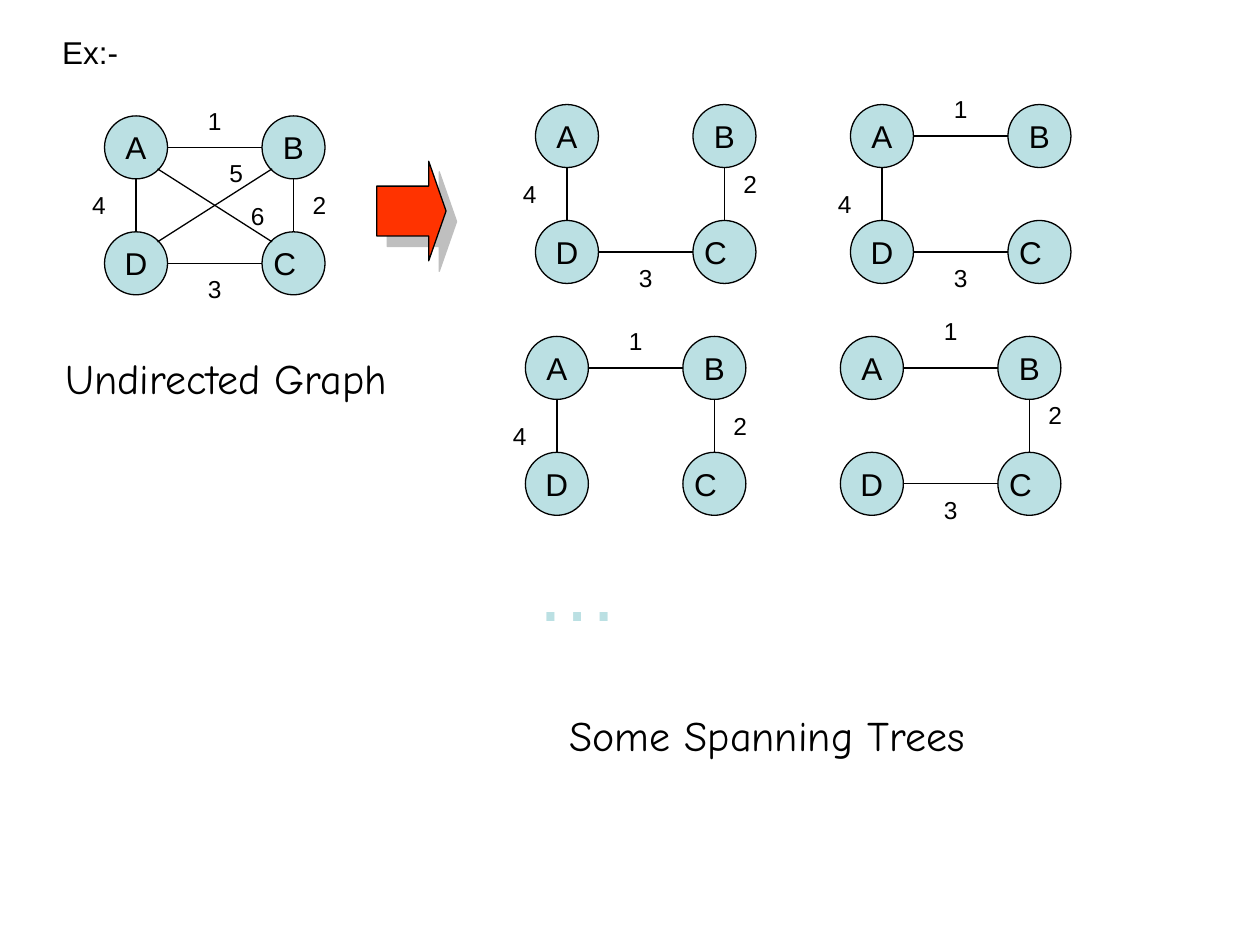
import pptx
import pptx.util
import pptx.dml.color
import pptx.enum.shapes
import pptx.enum.text
import pptx.oxml
import pptx.oxml.ns

Inches = pptx.util.Inches
Kind = pptx.enum.shapes.MSO_SHAPE
Align = pptx.enum.text.PP_ALIGN

NODES = {"A": (0, 0), "B": (1.25, 0), "D": (0, 0.92), "C": (1.25, 0.92)}
SIZE = 0.5
TAG = 0.25
EDGES = {
    1: ("AB", 0.75, -0.09, TAG),
    2: ("BC", 1.58, 0.58, TAG),
    3: ("DC", 0.75, 1.25, TAG),
    4: ("AD", -0.17, 0.58, TAG),
    5: ("DB", 0.92, 0.41, 0.08),
    6: ("AC", 1.09, 0.75, 0.08),
}
GRAPHS = [
    ((0.83, 0.92), (1, 2, 3, 4, 5, 6), {}),
    ((4.25, 0.83), (2, 3, 4), {2: -0.08}),
    ((6.75, 0.83), (1, 3, 4), {4: 0.08}),
    ((4.17, 2.67), (1, 2, 4), {4: 0.08}),
    ((6.67, 2.67), (1, 2, 3), {1: -0.08, 2: -0.08}),
]


def color(code):
    """Return the colour for a hex string."""
    return pptx.dml.color.RGBColor.from_string(code)


def format(item, values):
    """Set each attribute in values on item."""
    for name, value in values.items():
        setattr(item, name, value)


def write(shape, text, size, font="Arial", ink="000000", align=Align.CENTER, **frame):
    """Put one styled line of text in a shape."""
    format(shape.text_frame, {"word_wrap": False, **frame})
    para = shape.text_frame.paragraphs[0]
    para.alignment = align
    run = para.add_run()
    run.text = text
    format(run.font, {"name": font, "size": pptx.util.Pt(size)})
    run.font.color.rgb = color(ink)


def draw(slide, kind, box, fill, line):
    """Add a filled shape with a thin outline."""
    shape = slide.shapes.add_shape(kind, *map(Inches, box))
    shape.shadow.inherit = False
    shape.fill.solid()
    shape.fill.fore_color.rgb = color(fill)
    shape.line.color.rgb = color(line)
    shape.line.width = pptx.util.Pt(0.75)
    return shape


def label(slide, box, text, size, ink="000000"):
    """Add centred text on a white patch."""
    patch = draw(slide, Kind.RECTANGLE, box, "FFFFFF", "FFFFFF")
    write(patch, text, size, ink=ink, vertical_anchor=pptx.enum.text.MSO_ANCHOR.MIDDLE)


def caption(slide, box, text):
    """Add a left-aligned caption."""
    shape = slide.shapes.add_textbox(*map(Inches, box))
    write(shape, text, 24, font="Comic Neue", align=Align.LEFT, word_wrap=True)


def node(slide, left, top, name):
    """Add one round vertex."""
    disc = draw(slide, Kind.OVAL, (left, top, SIZE, SIZE), "BBE0E3", "000000")
    inset = {"margin_left": 0, "margin_right": Inches(0.14)} if name == "C" else {}
    write(disc, name, 18, vertical_anchor=pptx.enum.text.MSO_ANCHOR.MIDDLE, **inset)


def edge(slide, left, top, ends):
    """Join the rims of two vertices with a line."""
    (ax, ay), (bx, by) = (NODES[name] for name in ends)
    dx, dy = (bx > ax) - (bx < ax), (by > ay) - (by < ay)
    reach = 0.17 if dx and dy else SIZE / 2
    x, y = left + SIZE / 2, top + SIZE / 2
    points = (x + ax + dx * reach, y + ay + dy * reach,
              x + bx - dx * reach, y + by - dy * reach)
    line = slide.shapes.add_connector(
        pptx.enum.shapes.MSO_CONNECTOR.STRAIGHT, *map(Inches, points))
    line.line.color.rgb = color("000000")
    line.line.width = pptx.util.Pt(0.75)
    line._element.spPr.append(pptx.oxml.parse_xml(
        f"<a:effectLst {pptx.oxml.ns.nsdecls('a')}/>"))


def graph(slide, spot, weights, shifts):
    """Draw a graph from its top left corner, with the edges of the given weights."""
    left, top = spot
    for name, (x, y) in NODES.items():
        node(slide, left + x, top + y, name)
    for weight in weights:
        edge(slide, left, top, EDGES[weight][0])
    for weight in weights:
        x, y, high = EDGES[weight][1:]
        y += shifts.get(weight, 0)
        label(slide, (left + x, top + y, TAG, high), str(weight), 14)


def arrow(slide, box):
    """Add the red block arrow with its grey shadow."""
    shape = draw(slide, Kind.RIGHT_ARROW, box, "FF3300", "000000")
    shape.adjustments[0], shape.adjustments[1] = 0.5, 0.25
    effects = shape._element.spPr.find(pptx.oxml.ns.qn("a:effectLst"))
    effects.append(pptx.oxml.parse_xml(
        f'<a:outerShdw {pptx.oxml.ns.nsdecls("a")} dist="{pptx.util.Pt(8.5)}" '
        'dir="2700000" algn="ctr" rotWithShape="0">'
        '<a:srgbClr val="808080"><a:alpha val="50000"/></a:srgbClr></a:outerShdw>'))


def main():
    """Build and save the slide."""
    deck = pptx.Presentation()
    format(deck, {"slide_width": Inches(10), "slide_height": Inches(7.5)})
    slide = deck.slides.add_slide(deck.slide_layouts[6])
    caption(slide, (0.42, 2.75, 3.15, 0.5), "Undirected Graph")
    caption(slide, (4.42, 5.58, 3.88, 0.5), "Some Spanning Trees")
    arrow(slide, (2.99, 1.28, 0.55, 0.79))
    label(slide, (0.5, 0.25, 0.5, 0.33), "Ex:- ", 18)
    for spot, weights, shifts in GRAPHS:
        graph(slide, spot, weights, shifts)
    label(slide, (3.92, 4.42, 1.33, 0.5), "…", 48, "BBE0E3")
    deck.save("out.pptx")


if __name__ == "__main__":
    main()
